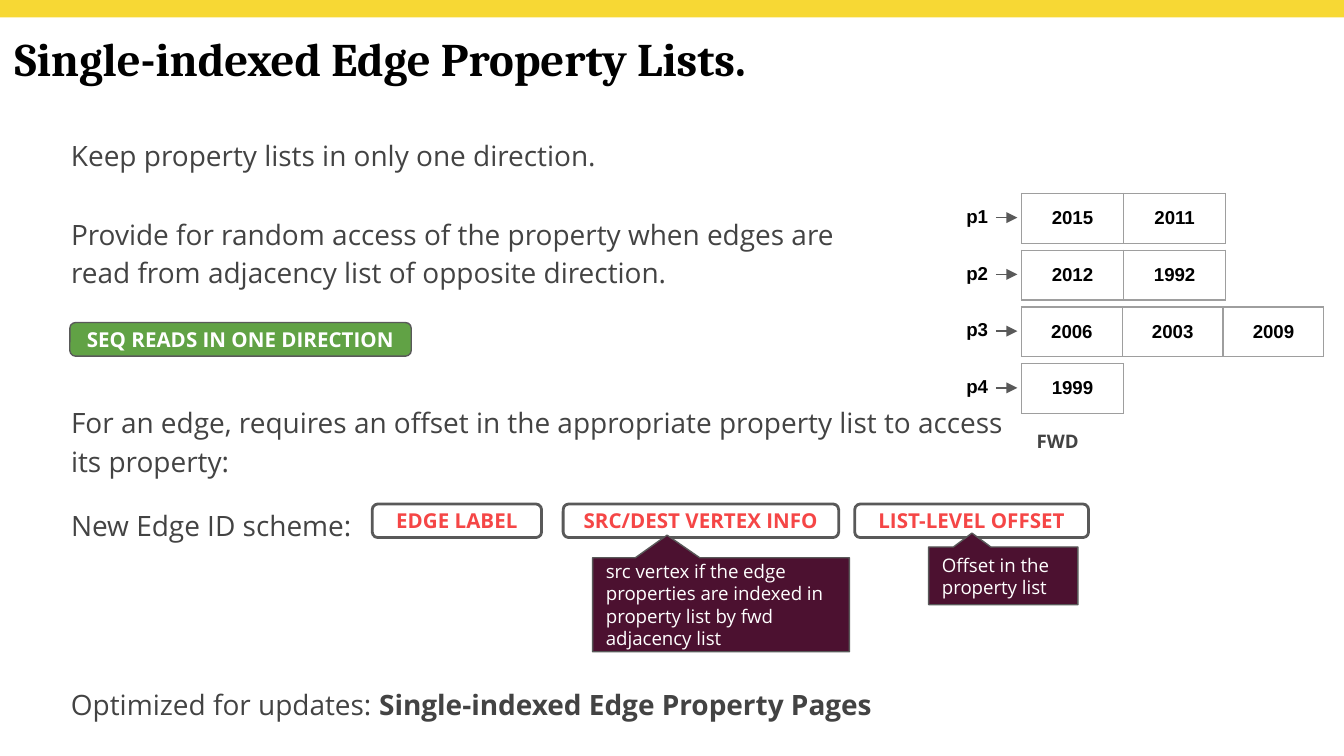
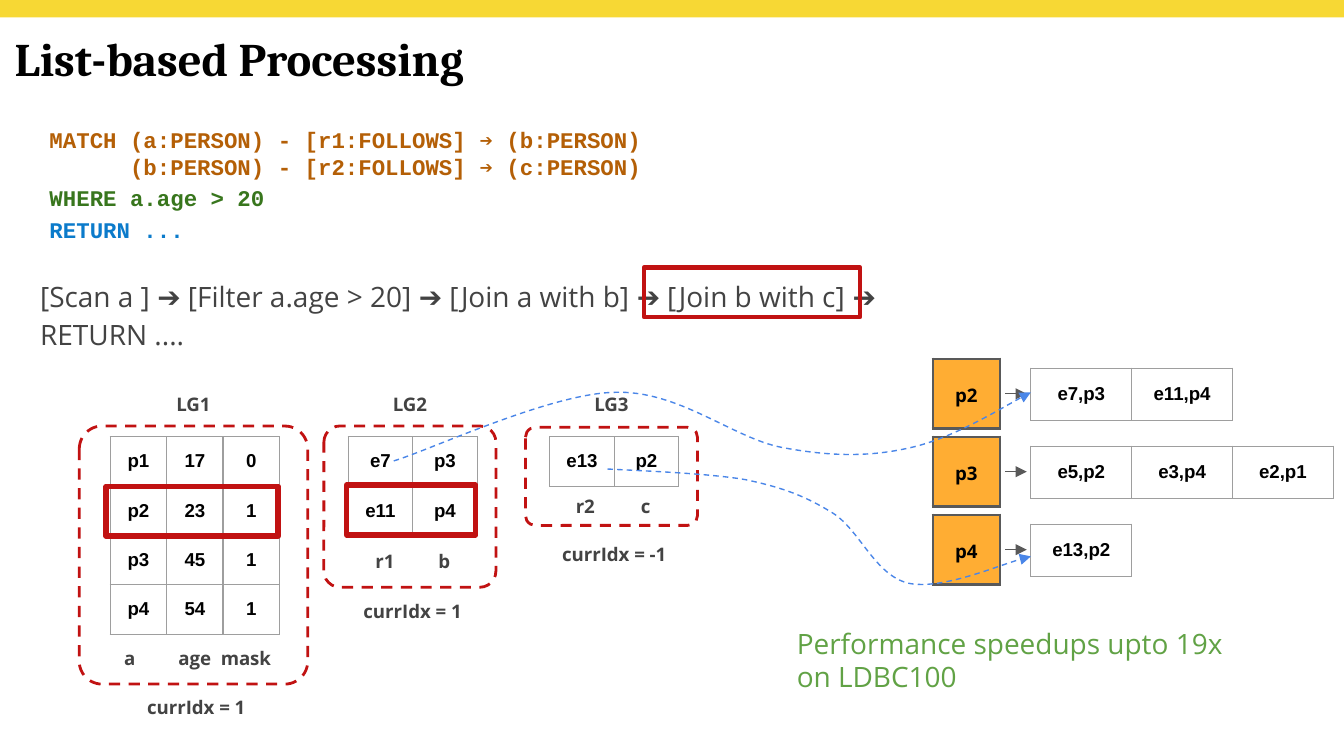
from dataclasses import dataclass, replace
from typing import NamedTuple, Optional

from lxml.etree import SubElement
from pptx import Presentation
from pptx.dml.color import RGBColor
from pptx.enum.dml import MSO_LINE
from pptx.enum.shapes import MSO_CONNECTOR, MSO_SHAPE
from pptx.enum.text import MSO_ANCHOR, PP_ALIGN
from pptx.oxml.ns import qn
from pptx.util import Inches, Pt

COLORS = {
    "band": "F7D834", "black": "000000", "white": "FFFFFF", "body": "434343",
    "line": "595959", "grid": "9E9E9E", "green": "61A245", "coral": "F54646",
    "plum": "4C1130", "red": "C11212", "orange": "FFAD33", "curve": "4A86E8",
    "match": "B45F06", "where": "38761D", "return": "0B7BCB",
}
WIDTH, HEIGHT = Inches(10), Inches(5.625)
COLS, ROWS = 100, 56.25  # square grid cells over the whole slide


class Box(NamedTuple):
    x: float
    y: float
    w: float
    h: float


@dataclass(frozen=True)
class Style:
    size: float
    font: str
    color: str
    bold: bool = False
    align: PP_ALIGN = PP_ALIGN.LEFT
    anchor: MSO_ANCHOR = MSO_ANCHOR.TOP
    spacing: Optional[float] = None
    after: float = 0
    top: float = 1


@dataclass(frozen=True)
class Look:
    """Fill and outline; None leaves the part out."""
    fill: Optional[str] = None
    line: Optional[str] = None
    width: float = 0.75
    dashed: bool = False


@dataclass(frozen=True)
class ListGroup:
    name: str
    frame: Box
    table_x: float
    col_w: float
    rows: list
    labels: dict  # column name -> centre
    label_y: float
    index: int
    index_y: float


CENTER, MIDDLE = PP_ALIGN.CENTER, MSO_ANCHOR.MIDDLE
TITLE = Style(25, "Cambria", "black", True)
BODY = Style(15, "Open Sans", "body", spacing=1.15, after=10)
RESULT = Style(15, "Open Sans", "green")
LABEL = Style(10, "Open Sans", "body", True, CENTER, MIDDLE, top=0.8)
CELL = Style(10, "Arial", "black", True, CENTER, MIDDLE)
ROW_NAME = replace(CELL, anchor=MSO_ANCHOR.TOP)
VERTEX = replace(CELL, font="Open Sans", spacing=1.15)
CHIP = Style(11, "Open Sans", "coral", True, CENTER, MIDDLE)
NOTE = Style(10, "Open Sans", "white", anchor=MIDDLE)
CODE = Style(12, "Courier New", "match", True)

GRID = Look(line="grid")
VERTEX_LOOK = Look("orange", "line", 1.5)
CHIP_LOOK = Look(line="line", width=1.5)
NOTE_LOOK = Look("plum", "line")
GROUP_LOOK = Look(line="red", width=1.5, dashed=True)
CURVE_LOOK = Look(line="curve", dashed=True)


def across(cols: float) -> int:
    return round(WIDTH * cols / COLS)


def down(rows: float) -> int:
    return round(HEIGHT * rows / ROWS)


def place(box: Box) -> tuple:
    return across(box.x), down(box.y), across(box.w), down(box.h)


def rgb(name: str) -> RGBColor:
    return RGBColor.from_string(COLORS[name])


def write(tf, lines: list, style: Style) -> None:
    """Fill a text frame; a | inside a line switches bold on or off."""
    tf.word_wrap = True
    for i, line in enumerate(lines):
        p = tf.paragraphs[0] if i == 0 else tf.add_paragraph()
        p.alignment = style.align
        p.line_spacing = style.spacing
        p.space_after = Pt(style.after)
        for j, part in enumerate(line.split("|")):
            r = p.add_run()
            r.text = part
            r.font.size, r.font.name = Pt(style.size), style.font
            r.font.bold = style.bold != (j % 2 == 1)
            r.font.color.rgb = rgb(style.color)


def set_margins(holder, top: float = 1) -> None:
    holder.margin_left = holder.margin_right = across(1)
    holder.margin_top, holder.margin_bottom = down(top), down(1)


def add_text(s, box: Box, text: str, style: Style):
    tf = s.shapes.add_textbox(*place(box)).text_frame
    set_margins(tf, style.top)
    tf.vertical_anchor = style.anchor
    write(tf, text.split("\n"), style)
    return tf


def add_label(s, cx: float, cy: float, text: str, w: float = 11.7) -> None:
    add_text(s, Box(cx - w / 2, cy - 2.15, w, 4.3), text, LABEL)


def paint(sp, look: Look) -> None:
    sp.shadow.inherit = False
    if look.fill:
        sp.fill.solid()
        sp.fill.fore_color.rgb = rgb(look.fill)
    else:
        sp.fill.background()
    if look.line:
        sp.line.color.rgb = rgb(look.line)
        sp.line.width = Pt(look.width)
        if look.dashed:
            sp.line.dash_style = MSO_LINE.DASH
    else:
        sp.line.fill.background()


def add_figure(s, kind: MSO_SHAPE, box: Box, look: Look, adj: tuple = (),
               text: str = "", style: Style = CHIP) -> None:
    sp = s.shapes.add_shape(kind, *place(box))
    paint(sp, look)
    for i, value in enumerate(adj):
        sp.adjustments[i] = value
    if text:
        set_margins(sp.text_frame)
        sp.text_frame.vertical_anchor = style.anchor
        write(sp.text_frame, [text], style)


def add_grid(s, x: float, y: float, col_w: float, row_h: float, rows: list,
             style: Style = CELL, look: Look = GRID) -> None:
    box = Box(x, y, col_w * len(rows[0]), row_h * len(rows))
    tbl = s.shapes.add_table(len(rows), len(rows[0]), *place(box)).table
    tbl.first_row = tbl.horz_banding = False
    for i, row in enumerate(rows):
        for j, value in enumerate(row):
            cell = tbl.cell(i, j)
            set_margins(cell)
            cell.vertical_anchor = style.anchor
            write(cell.text_frame, [value], style)
            tc_pr = cell._tc.get_or_add_tcPr()
            for side in ("a:lnL", "a:lnR", "a:lnT", "a:lnB"):
                ln = SubElement(tc_pr, qn(side), w=str(Pt(look.width)))
                fill = SubElement(ln, qn("a:solidFill"))
                SubElement(fill, qn("a:srgbClr"), val=COLORS[look.line])
            if look.fill:
                cell.fill.solid()
                cell.fill.fore_color.rgb = rgb(look.fill)
            else:
                cell.fill.background()


def add_arrowhead(sp) -> None:
    ln = next(sp._element.iter(qn("a:ln")))
    SubElement(ln, qn("a:tailEnd"), type="triangle")


def add_arrow(s, x: float, y: float) -> None:
    c = s.shapes.add_connector(MSO_CONNECTOR.STRAIGHT, across(x), down(y),
                               across(x + 1.6), down(y))
    c.line.color.rgb, c.line.width = rgb("line"), Pt(0.75)
    add_arrowhead(c)
    SubElement(c._element.spPr, qn("a:effectLst"))


def add_curve(s, points: list) -> None:
    """Draw Bézier segments: a start, then two controls and an end for each."""
    start, *rest = [(across(x), down(y)) for x, y in points]
    builder = s.shapes.build_freeform(*start)
    builder.add_line_segments(rest, close=False)
    sp = builder.convert_to_shape()
    outline = next(sp._element.iter(qn("a:path")))
    steps = outline.findall(qn("a:lnTo"))
    for i in range(0, len(steps), 3):
        bezier = SubElement(outline, qn("a:cubicBezTo"))
        for step in steps[i:i + 3]:
            bezier.append(step[0])
            outline.remove(step)
    paint(sp, CURVE_LOOK)
    add_arrowhead(sp)


def new_slide(prs, title: str):
    s = prs.slides.add_slide(prs.slide_layouts[6])
    add_figure(s, MSO_SHAPE.RECTANGLE, Box(0, 0, COLS, 1.3), Look("band"))
    add_text(s, Box(0.1, 1.2, 93.1, 6.2), title, TITLE)
    return s


def build_property_lists(prs) -> None:
    s = new_slide(prs, "Single-indexed Edge Property Lists.")
    for y, w, h, text in (
        (8.9, 47.4, 4.5, "Keep property lists in only one direction."),
        (14.8, 59.8, 7.4, "Provide for random access of the property when edges are "
                          "read from adjacency list of opposite direction."),
        (28.8, 71.5, 7.4, "For an edge, requires an offset in the appropriate "
                          "property list to access its property:"),
        (36.5, 23.1, 4.5, "New Edge ID scheme:"),
        (49.8, 78.3, 4.5, "Optimized for updates: |Single-indexed Edge Property Pages"),
    ):
        add_text(s, Box(4.3, y, w, h), text, BODY)

    years = (["2015", "2011"], ["2012", "1992"], ["2006", "2003", "2009"], ["1999"])
    for i, row in enumerate(years):
        y = 14.4 + 4.22 * i
        add_text(s, Box(70.1, y, 5.2, 3.7), f"p{i + 1}", ROW_NAME)
        add_arrow(s, 74.1, y + 1.8)
        add_grid(s, 76, y, 7.5 if len(row) == 3 else 7.6, 3.7, [row])
    add_label(s, 78.7, 32.95, "FWD", 7.7)

    rounded = MSO_SHAPE.ROUNDED_RECTANGLE
    add_figure(s, rounded, Box(5.2, 24, 25.4, 2.5), Look("green", "line"), (0.17,),
               "SEQ READS IN ONE DIRECTION", replace(CHIP, color="white"))
    for x, w, text in ((27.7, 12.6, "EDGE LABEL"), (41.9, 20.5, "SRC/DEST VERTEX INFO"),
                       (63.6, 17.4, "LIST-LEVEL OFFSET")):
        add_figure(s, rounded, Box(x, 37.5, w, 2.5), CHIP_LOOK, (0.17,), text)
    for box, text in (
        (Box(44.1, 41.5, 19.1, 7), "src vertex if the edge properties are indexed in "
                                   "property list by fwd adjacency list"),
        (Box(69.1, 40.7, 11.1, 4.3), "Offset in the property list"),
    ):
        add_figure(s, MSO_SHAPE.RECTANGULAR_CALLOUT, box, NOTE_LOOK,
                   (-0.21, -0.74), text, NOTE)


def add_list_group(s, g: ListGroup) -> None:
    cx = g.frame.x + g.frame.w / 2
    add_grid(s, g.table_x, 32.5, g.col_w, 3.66, g.rows)
    add_figure(s, MSO_SHAPE.ROUNDED_RECTANGLE, g.frame, GROUP_LOOK, (0.1,))
    add_label(s, cx, 30.15, g.name)
    for text, x in g.labels.items():
        add_label(s, x, g.label_y, text, 6.3)
    add_label(s, cx + 0.2, g.index_y, f"currIdx = {g.index}")


def build_processing(prs) -> None:
    s = new_slide(prs, "List-based Processing")
    query = ("MATCH (a:PERSON) - [r1:FOLLOWS] |➔| (b:PERSON)\n"
             "      (b:PERSON) - [r2:FOLLOWS] |➔| (c:PERSON)\n"
             "WHERE a.age > 20\nRETURN ...")
    tf = add_text(s, Box(2.7, 8.4, 47.4, 12), query, CODE)
    for p, color in zip(tf.paragraphs[2:], ("where", "return")):
        p.space_before = Pt(2.4)
        p.runs[0].font.color.rgb = rgb(color)
    add_text(s, Box(2, 19.4, 75.4, 4.4), "[Scan a ] ➔ [Filter a.age > 20] ➔ "
             "[Join a with b] ➔ [Join b with c] ➔ RETURN ....", BODY)

    people = [["p1", "17", "0"], ["p2", "23", "1"], ["p3", "45", "1"], ["p4", "54", "1"]]
    for group in (
        ListGroup("LG1", Box(5.9, 31.7, 17, 19.2), 8.2, 4.2, people,
                  {"a": 9.65, "age": 14.5, "mask": 18.3}, 49.05, 1, 52.75),
        ListGroup("LG2", Box(24.1, 31.7, 12.8, 12), 25.9, 4.8,
                  [["e7", "p3"], ["e11", "p4"]],
                  {"r1": 28.65, "b": 33.05}, 41.85, 1, 45.55),
        ListGroup("LG3", Box(39.1, 31.8, 12.8, 7.3), 40.9, 4.8, [["e13", "p2"]],
                  {"r2": 43.55, "c": 48.05}, 37.75, -1, 41.35),
    ):
        add_list_group(s, group)

    adjacency = {"p2": ["e7,p3", "e11,p4"], "p3": ["e5,p2", "e3,p4", "e2,p1"],
                 "p4": ["e13,p2"]}
    for i, (vertex, edges) in enumerate(adjacency.items()):
        y = 26.7 + 5.8 * i
        add_grid(s, 69.4, y, 5, 5.2, [[vertex]], VERTEX, VERTEX_LOOK)
        add_grid(s, 76.7, y + 0.7, 7.5, 3.9, [edges])
        add_arrow(s, 74.8, y + 2.6)

    add_curve(s, [(29.3, 34.3), (32, 33.5), (40.9, 29.3), (45.7, 29.2),
                  (50.5, 29), (54.5, 32.6), (58.2, 33.3),
                  (61.9, 34), (64.8, 34), (67.8, 33.3),
                  (70.9, 32.6), (75.3, 29.9), (76.7, 29.2)])
    add_curve(s, [(45.2, 34.9), (46.9, 35), (52.7, 35.2), (55.5, 35.7),
                  (58.3, 36.3), (59.9, 36.9), (62, 38.2),
                  (64, 39.5), (65.1, 42.8), (67.6, 43.4),
                  (70, 43.9), (75.2, 41.7), (76.7, 41.4)])

    for box, width in ((Box(7.9, 36.2, 12.8, 3.7), 3), (Box(25.8, 36.1, 9.6, 3.7), 3),
                       (Box(47.9, 19.9, 16.1, 3.7), 2.25)):
        add_figure(s, MSO_SHAPE.RECTANGLE, box, Look(line="red", width=width))
    add_text(s, Box(58.3, 45.6, 48.1, 7.1),
             "Performance speedups upto 19x\non LDBC100", RESULT)


def main() -> None:
    prs = Presentation()
    prs.slide_width, prs.slide_height = WIDTH, HEIGHT
    build_property_lists(prs)
    build_processing(prs)
    prs.save("out.pptx")


if __name__ == "__main__":
    main()
